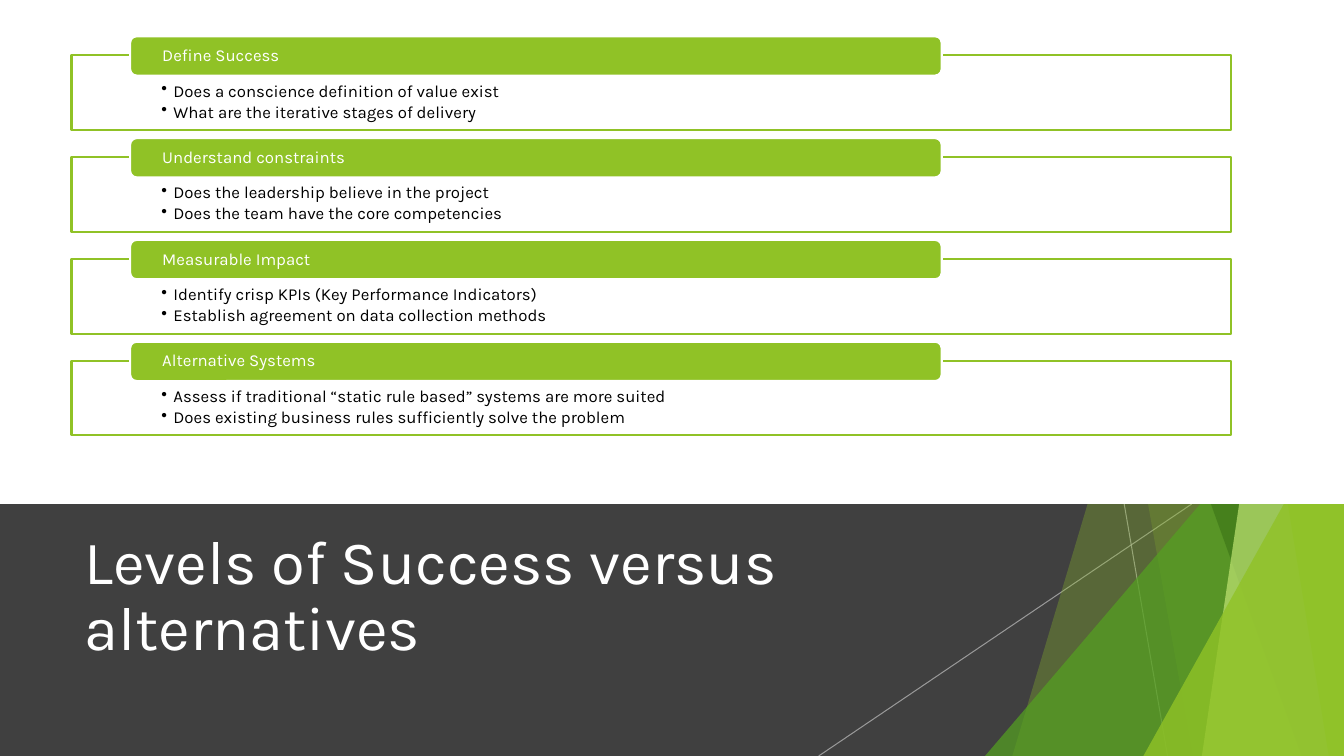
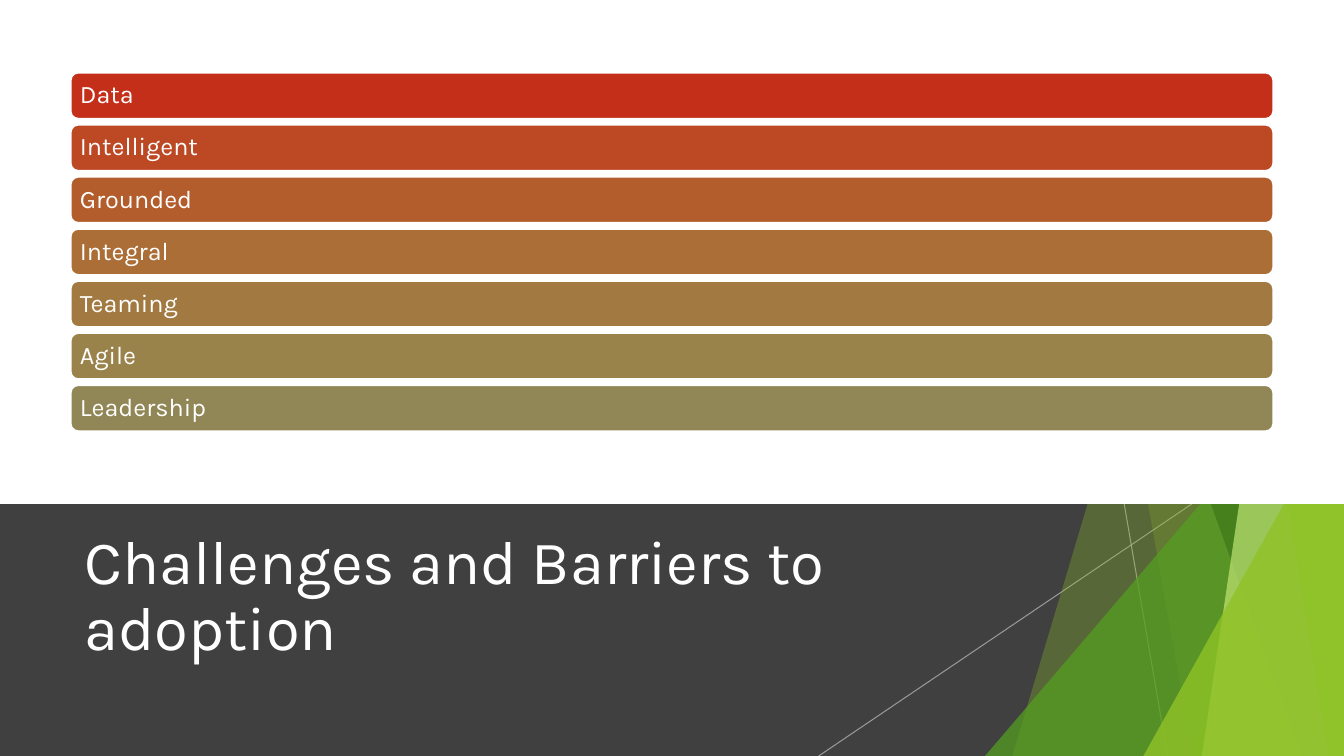
from lxml.etree import SubElement
from pptx import Presentation
from pptx.dml.color import RGBColor
from pptx.enum.shapes import MSO_CONNECTOR, MSO_SHAPE
from pptx.enum.text import MSO_ANCHOR, PP_ALIGN
from pptx.oxml.ns import qn
from pptx.util import Inches, Pt

SUCCESS_TITLE = "Levels of Success versus alternatives"
SUCCESS_LEVELS = [
    ("Define Success", [
        "Does a conscience definition of value exist",
        "What are the iterative stages of delivery"]),
    ("Understand constraints", [
        "Does the leadership believe in the project",
        "Does the team have the core competencies"]),
    ("Measurable Impact", [
        "Identify crisp KPIs (Key Performance Indicators)",
        "Establish agreement on data collection methods"]),
    ("Alternative Systems", [
        "Assess if traditional “static rule based” systems are more suited",
        "Does existing business rules sufficiently solve the problem"]),
]

BARRIERS_TITLE = "Challenges and Barriers to adoption"
BARRIERS = [
    ("Data", "C42F1A"),
    ("Intelligent", "BC4824"),
    ("Grounded", "B35D2D"),
    ("Integral", "AB6E37"),
    ("Teaming", "A27A41"),
    ("Agile", "9A824B"),
    ("Leadership", "918655"),
]

COLORS = {
    "white": "FFFFFF", "black": "000000", "band": "404040", "ray": "BFBFBF",
    "lime": "90C226", "green": "54A021", "forest": "3F7819", "pale": "C0E474",
}
FONT = "Karla"
WIDTH, HEIGHT, BAND_TOP = 13.33, 7.5, 5

# Rays: start and end points. Facets run to the right edge of the slide:
# a blade has its left edge at two x positions, a wedge has a left and a top.
RAYS = [((11.15, BAND_TOP), (11.58, HEIGHT)), ((11.82, BAND_TOP), (8.12, HEIGHT))]
FACETS = [
    ("blade", 12.28, 10.04, "lime", 30),
    ("blade", 10.5, 11.83, "lime", 20),
    ("wedge", 9.77, 3.33, "green", 72),
    ("blade", 10.21, 12.91, "forest", 70),
    ("blade", 13.03, 11.92, "pale", 70),
    ("blade", 11.96, 13.18, "lime", 65),
    ("wedge", 11.34, 3.93, "lime", 80),
]


def rgb(color):
    """Turn a colour name or a hex string into a colour."""
    return RGBColor.from_string(COLORS.get(color, color))


def set_alpha(shape, percent):
    """Make the first colour of a shape partly transparent."""
    color = next(shape.element.spPr.iter(qn("a:srgbClr")))
    SubElement(color, qn("a:alpha")).set("val", str(percent * 1000))


def paint(shape, fill, alpha=100, outline=None):
    """Give a shape its fill, opacity and outline, without a shadow."""
    shape.shadow.inherit = False
    shape.fill.solid()
    shape.fill.fore_color.rgb = rgb(fill)
    if alpha < 100:
        set_alpha(shape, alpha)
    if outline:
        shape.line.color.rgb = rgb(outline)
        shape.line.width = Pt(1.5)
    else:
        shape.line.fill.background()
    return shape


def add_block(slide, kind, box, fill, **style):
    """Add a painted preset shape at left, top, width, height."""
    block = slide.shapes.add_shape(kind, *map(Inches, box))
    return paint(block, fill, **style)


def write(shape, lines, size, color, insets, anchor=MSO_ANCHOR.MIDDLE):
    """Write left-aligned lines into a shape."""
    frame = shape.text_frame
    frame.word_wrap = True
    frame.vertical_anchor = anchor
    (frame.margin_left, frame.margin_top,
     frame.margin_right, frame.margin_bottom) = map(Inches, insets)
    frame.text = "\n".join(lines)
    for paragraph in frame.paragraphs:
        paragraph.alignment = PP_ALIGN.LEFT
        paragraph.line_spacing = 0.9
        font = paragraph.runs[0].font
        font.name, font.size, font.color.rgb = FONT, Pt(size), rgb(color)
    return frame.paragraphs


def add_bullet(paragraph):
    """Turn a paragraph into a bullet with a hanging indent."""
    paragraph.level = 1
    paragraph.space_after = Pt(2)
    props = paragraph._p.get_or_add_pPr()
    props.set("marL", str(Inches(0.12)))
    props.set("indent", str(-Inches(0.12)))
    SubElement(props, qn("a:buChar")).set("char", "•")


def add_ray(slide, start, end):
    """Add a thin translucent line."""
    ray = slide.shapes.add_connector(
        MSO_CONNECTOR.STRAIGHT, *map(Inches, start + end))
    ray.line.color.rgb = rgb("ray")
    ray.line.width = Pt(0.75)
    set_alpha(ray, 70)
    SubElement(ray.element.spPr, qn("a:effectLst"))


def add_blade(slide, top_x, bottom_x, color, alpha):
    """Add a full-height facet with a slanted left edge."""
    corners = [(WIDTH, 0), (WIDTH, HEIGHT), (bottom_x, HEIGHT)]
    builder = slide.shapes.build_freeform(Inches(top_x), 0)
    builder.add_line_segments(
        [(Inches(x), Inches(y)) for x, y in corners], close=True)
    paint(builder.convert_to_shape(), color, alpha)


def add_wedge(slide, left, top, color, alpha):
    """Add a right triangle that fills the lower right corner."""
    wedge = add_block(slide, MSO_SHAPE.ISOSCELES_TRIANGLE,
                      (left, top, WIDTH - left, HEIGHT - top), color, alpha=alpha)
    wedge.adjustments[0] = 1


def add_base(deck, title):
    """Add a slide with the dark title band, the facets and a white panel."""
    slide = deck.slides.add_slide(deck.slide_layouts[6])
    add_block(slide, MSO_SHAPE.RECTANGLE,
              (0, BAND_TOP, WIDTH, HEIGHT - BAND_TOP), "band")
    for start, end in RAYS:
        add_ray(slide, start, end)
    draw = {"blade": add_blade, "wedge": add_wedge}
    for facet, *details in FACETS:
        draw[facet](slide, *details)
    add_block(slide, MSO_SHAPE.RECTANGLE, (0, 0, WIDTH, BAND_TOP), "white")
    heading = slide.shapes.add_textbox(*map(Inches, (0.74, 5.21, 9.4, 1.44)))
    write(heading, [title], 44, "white", (0.1, 0.05, 0.1, 0.05))
    return slide


def add_success_levels(slide):
    """Stack framed question lists, each with a heading on its top edge."""
    first_top, pitch = 0.55, 1.01
    for row, (level, questions) in enumerate(SUCCESS_LEVELS):
        top = first_top + row * pitch
        frame = add_block(slide, MSO_SHAPE.RECTANGLE, (0.71, top, 11.5, 0.74),
                          "white", alpha=90, outline="lime")
        for question in write(frame, questions, 12, "black",
                              (0.89, 0.27, 0.89, 0.09), MSO_ANCHOR.TOP):
            add_bullet(question)
        label = add_block(slide, MSO_SHAPE.ROUNDED_RECTANGLE,
                          (1.29, top - 0.19, 8.05, 0.39), "lime", outline="white")
        write(label, [level], 12, "white", (0.3, 0, 0.3, 0))


def add_barriers(slide):
    """Stack evenly spaced bars, one for each barrier."""
    first_top, last_top = 0.72, 3.82
    pitch = (last_top - first_top) / (len(BARRIERS) - 1)
    for row, (barrier, color) in enumerate(BARRIERS):
        bar = add_block(slide, MSO_SHAPE.ROUNDED_RECTANGLE,
                        (0.7, first_top + row * pitch, 11.93, 0.46),
                        color, outline="white")
        write(bar, [barrier], 18, "white", (0.07, 0.07, 0.07, 0.07))


deck = Presentation()
deck.slide_width, deck.slide_height = Inches(WIDTH), Inches(HEIGHT)
add_success_levels(add_base(deck, SUCCESS_TITLE))
add_barriers(add_base(deck, BARRIERS_TITLE))
deck.save("out.pptx")
